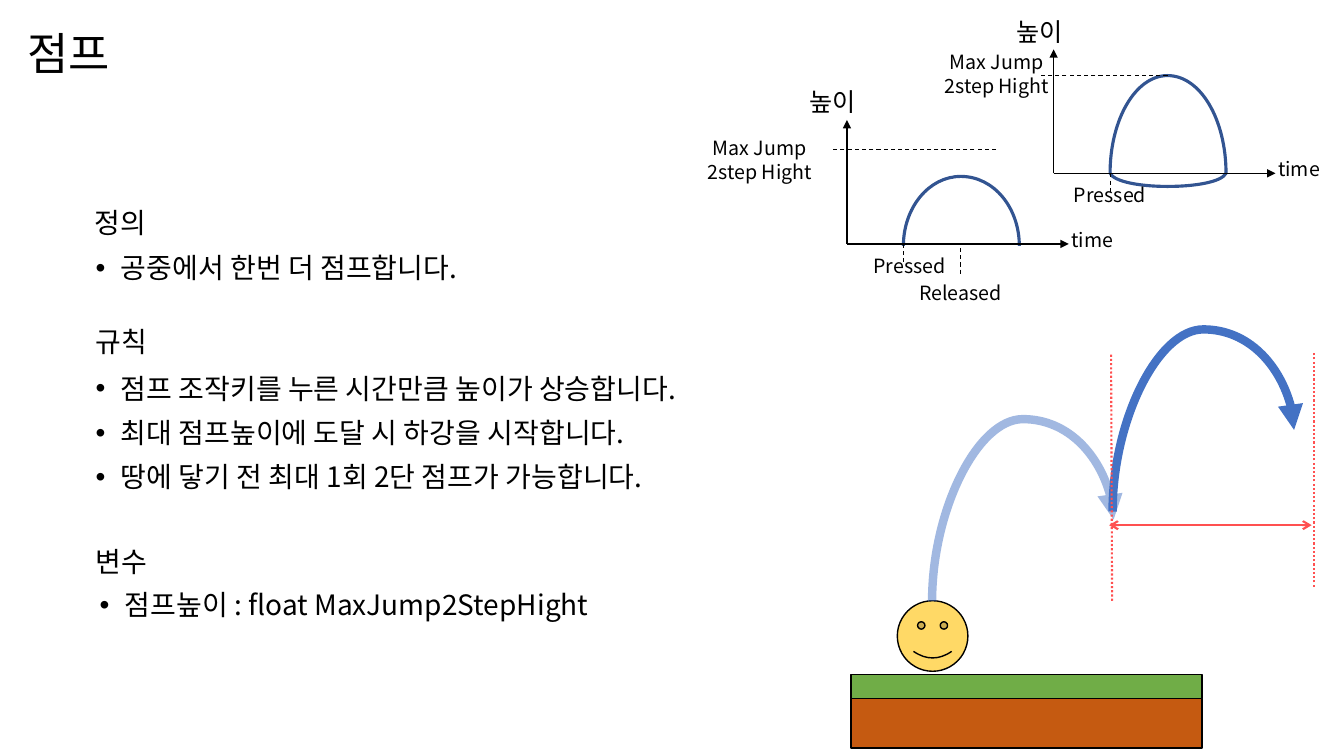
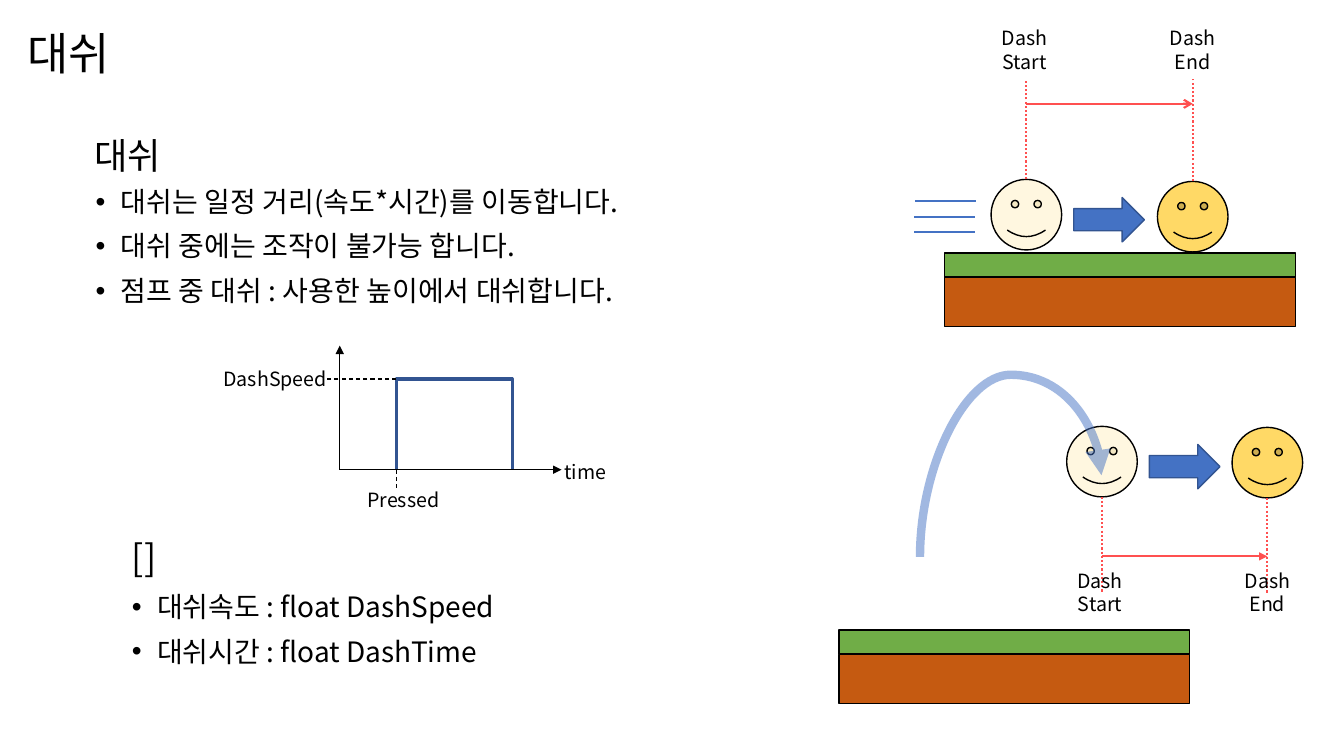
from dataclasses import dataclass, replace
from typing import Optional

from lxml import etree
from pptx import Presentation
from pptx import util as u
from pptx.dml.color import RGBColor
from pptx.enum import dml, shapes, text
from pptx.oxml.ns import qn

PX = 9144  # EMU per px, 100 px to the inch
FONT = "Noto Sans CJK KR"
COLORS = {
    "ink": "000000", "grass": "70AD47", "soil": "C55A11", "face": "FFD966",
    "move": "4472C4", "trace": "325491", "guide": "FF5050",
}
Point = tuple[int, int]


# Styles and repeated elements
@dataclass(frozen=True)
class TextStyle:
    size: float
    spacing: float = 1.0
    before: int = 0
    bullet: bool = False
    centered: bool = False
    middle: bool = False


@dataclass(frozen=True)
class LineStyle:
    color: str
    width: float
    dash: Optional[dml.MSO_LINE] = None
    head: str = ""
    tail: str = ""
    alpha: int = 100


@dataclass(frozen=True)
class Block:
    left: int
    top: int
    width: int
    height: int
    lines: tuple[str, ...]
    style: TextStyle


@dataclass(frozen=True)
class Plot:
    origin: Point
    ceiling: tuple[int, int, int]  # left, right and height from the origin
    pressed: Point  # label centre and top from the origin
    time_rise: int


@dataclass(frozen=True)
class Hump:
    base: int
    height: int
    sag: int


@dataclass(frozen=True)
class Dash:
    start: Point
    finish: Point
    label_top: int
    guide_end: int
    measure_y: int
    measure: LineStyle


TITLE = TextStyle(32, 0.9, middle=True)
HEADING = TextStyle(20, 0.9, 10)
BIG_HEADING = TextStyle(25.9, 0.7, 10)
BULLETS = TextStyle(20, 0.9, 10, bullet=True)
AXIS_NAME = TextStyle(18)
LABEL = TextStyle(14, centered=True)

OUTLINE = LineStyle("ink", 1)
AXIS = LineStyle("ink", 1, tail="triangle")
DASHED = LineStyle("ink", 0.75, dml.MSO_LINE.DASH)
TRACE = LineStyle("trace", 2.25)
SPEED = LineStyle("move", 1.5)
JUMP = LineStyle("move", 6, tail="triangle")
FADED_JUMP = replace(JUMP, alpha=50)
GUIDE = LineStyle("guide", 1.5, dml.MSO_LINE.ROUND_DOT)
MEASURE = LineStyle("guide", 1.5, tail="arrow")

FACE_SIZE = 70
GROUND_WIDTH = 348
TRACE_WIDTH = 115


# Basic drawing
def rgb(name: str) -> RGBColor:
    return RGBColor.from_string(COLORS[name])


def set_alpha(parent, percent: int) -> None:
    if percent < 100:
        color = parent.find(qn("a:solidFill")).find(qn("a:srgbClr"))
        etree.SubElement(color, qn("a:alpha"), val=str(percent * 1000))


def style_line(shape, style: LineStyle) -> None:
    shape.line.color.rgb = rgb(style.color)
    shape.line.width = u.Pt(style.width)
    if style.dash:
        shape.line.dash_style = style.dash
    outline = shape.get_or_add_ln()
    set_alpha(outline, style.alpha)
    for tag, kind in (("a:headEnd", style.head), ("a:tailEnd", style.tail)):
        if kind:
            etree.SubElement(outline, qn(tag), type=kind)


def add_line(page, start: Point, end: Point, style: LineStyle,
             kind=shapes.MSO_CONNECTOR.STRAIGHT):
    ends = [value * PX for value in (*start, *end)]
    line = page.shapes.add_connector(kind, *ends)
    style_line(line, style)
    etree.SubElement(line.element.spPr, qn("a:effectLst"))
    return line


def add_shape(page, kind, left: int, top: int, width: int, height: int,
              fill: str, line: LineStyle = OUTLINE, alpha: int = 100):
    shape = page.shapes.add_shape(kind, left * PX, top * PX, width * PX, height * PX)
    shape.shadow.inherit = False
    shape.fill.solid()
    shape.fill.fore_color.rgb = rgb(fill)
    set_alpha(shape.element.spPr, alpha)
    style_line(shape, line)
    return shape


def add_trace(page, points: list[Point], close: bool = False):
    (x, y), *others = [(px * PX, py * PX) for px, py in points]
    builder = page.shapes.build_freeform(x, y, scale=1.0)
    builder.add_line_segments(others, close=close)
    trace = builder.convert_to_shape()
    trace.shadow.inherit = False
    trace.fill.background()
    style_line(trace, TRACE)
    return trace


def add_text(page, block: Block) -> None:
    style = block.style
    box = page.shapes.add_textbox(block.left * PX, block.top * PX,
                                  block.width * PX, block.height * PX)
    frame = box.text_frame
    frame.word_wrap = True
    if style.middle:
        frame.vertical_anchor = text.MSO_ANCHOR.MIDDLE
    if style.bullet:
        frame.auto_size = text.MSO_AUTO_SIZE.TEXT_TO_FIT_SHAPE
    for index, words in enumerate(block.lines):
        para = frame.add_paragraph() if index else frame.paragraphs[0]
        para.text = words
        para.line_spacing = style.spacing
        para.space_before = u.Pt(style.before)
        para.alignment = text.PP_ALIGN.CENTER if style.centered else text.PP_ALIGN.LEFT
        properties = para._p.get_or_add_pPr()
        if style.bullet:
            properties.set("marL", str(25 * PX))
            properties.set("indent", str(-25 * PX))
            etree.SubElement(properties, qn("a:buFont"), typeface="Arial")
            etree.SubElement(properties, qn("a:buChar"), char="•")
        para.font.size = u.Pt(style.size)
        para.font.color.rgb = rgb("ink")
        para.font.name = FONT
        etree.SubElement(properties.find(qn("a:defRPr")), qn("a:ea"), typeface=FONT)


def add_label(page, left: int, top: int, width: int, *lines: str) -> None:
    add_text(page, Block(left, top, width, 10 + 24 * len(lines), lines, LABEL))


# Scene parts
def add_ground(page, left: int, top: int) -> None:
    for color, offset, height in (("grass", 0, 24), ("soil", 24, 49)):
        add_shape(page, shapes.MSO_SHAPE.RECTANGLE, left, top + offset,
                  GROUND_WIDTH, height, color)


def add_face(page, left: int, top: int, alpha: int = 100):
    return add_shape(page, shapes.MSO_SHAPE.SMILEY_FACE, left, top,
                     FACE_SIZE, FACE_SIZE, "face", alpha=alpha)


def add_jump(page, x: int, y: int, style: LineStyle) -> None:
    """Curved arrow that rises from (x, y) and lands 180 px to the right."""
    left, top = x + 49, y - 130
    arc = add_line(page, (left, top), (left + 81, top + 180), style,
                   shapes.MSO_CONNECTOR.CURVE)
    frame = arc.element.spPr.find(qn("a:xfrm"))
    for name, value in (("rot", "5400000"), ("flipH", "1"), ("flipV", "1")):
        frame.set(name, value)
    geometry = arc.element.spPr.find(qn("a:prstGeom"))
    adjusts = geometry.find(qn("a:avLst"))
    if adjusts is None:
        adjusts = etree.SubElement(geometry, qn("a:avLst"))
    etree.SubElement(adjusts, qn("a:gd"), name="adj1", fmla="val 223100")


def add_hump(page, left: int, hump: Hump) -> None:
    """Arch above the axis; with a sag it closes in a shallow bowl below."""
    width, height, sag = TRACE_WIDTH, hump.height, hump.sag
    base, middle = hump.base, left + width // 2
    corners = [(left, base), (middle, base - height), (left + width, base)]
    if sag:
        corners += [(middle, base + sag), (left, base)]
    trace = add_trace(page, corners, close=bool(sag))
    # Control points from the top left corner, one pair per segment
    low, bowl = height + 0.67 * sag, height + sag
    controls = (
        ((0, 0.45 * height), (0.22 * width, 0)),
        ((0.78 * width, 0), (width, 0.45 * height)),
        ((0.96 * width, low), (0.73 * width, bowl)),
        ((0.27 * width, bowl), (0.04 * width, low)),
    )
    segments = list(trace.element.spPr.iter(qn("a:lnTo")))
    for segment, pair in zip(segments, controls):
        segment.tag = qn("a:cubicBezTo")
        for index, (x, y) in enumerate(pair):
            control = etree.Element(qn("a:pt"), x=str(round(x * PX)), y=str(round(y * PX)))
            segment.insert(index, control)


def add_plot(page, plot: Plot) -> None:
    x, y = plot.origin
    left, right, level = plot.ceiling
    add_line(page, (x + right, y - level), (x + left, y - level), DASHED)
    add_line(page, (x, y), (x + 220, y), AXIS)
    add_line(page, (x, y), (x, y - 123), AXIS)
    add_line(page, (x + 56, y), (x + 56, y + 19), DASHED)
    center, drop = plot.pressed
    add_label(page, x + center - 56, y + drop, 112, "Pressed")
    add_label(page, x + 176, y - plot.time_rise, 135, "time")


def add_dash(page, dash: Dash) -> None:
    half = FACE_SIZE // 2
    ends = ((dash.start, 20, "Start", -13), (dash.finish, 100, "End", -11))
    for (x, y), alpha, name, shift in ends:
        face = add_face(page, x, y, alpha)
        above = dash.guide_end < y
        edge = y if above else y + FACE_SIZE
        guide = add_line(page, (x + half, edge), (x + half, dash.guide_end), GUIDE)
        if above:
            guide.begin_connect(face, 0)
        add_label(page, x + shift, dash.label_top, 92, "Dash", name)
    x, y = dash.start
    add_shape(page, shapes.MSO_SHAPE.RIGHT_ARROW, x + 82, y + 18, 70, 44, "move",
              LineStyle("trace", 1))
    add_line(page, (x + half, dash.measure_y), (dash.finish[0] + half, dash.measure_y),
             dash.measure)


# Slides
def new_page(deck, blocks: list[Block]):
    page = deck.slides.add_slide(deck.slide_layouts[6])
    for block in blocks:
        add_text(page, block)
    return page


def build_jump(deck) -> None:
    page = new_page(deck, [
        Block(17, 15, 719, 81, ("점프",), TITLE),
        Block(84, 203, 203, 43, ("정의",), HEADING),
        Block(85, 247, 750, 57, ("공중에서 한번 더 점프합니다.",), BULLETS),
        Block(85, 321, 203, 43, ("규칙",), HEADING),
        Block(85, 367, 750, 143, (
            "점프 조작키를 누른 시간만큼 높이가 상승합니다.",
            "최대 점프높이에 도달 시 하강을 시작합니다.",
            "땅에 닿기 전 최대 1회 2단 점프가 가능합니다."), BULLETS),
        Block(85, 539, 203, 43, ("변수",), HEADING),
        Block(89, 582, 750, 143, ("점프높이 : float MaxJump2StepHight",), BULLETS),
    ])
    plots = (
        (Plot((1045, 172), (-13, 113, 97), (56, 5), 21), Hump(172, 97, 13), (902, 45)),
        (Plot((840, 242), (-15, 148, 94), (62, 5), 21), Hump(244, 69, 0), (667, 130)),
    )
    for plot, hump, ceiling_label in plots:
        x, y = plot.origin
        add_hump(page, x + 56, hump)
        add_plot(page, plot)
        add_text(page, Block(x - 47, y - 161, 127, 40, ("높이",), AXIS_NAME))
        add_label(page, *ceiling_label, 173, "Max Jump", "2step Hight")
    add_line(page, (953, 246), (953, 274), DASHED)
    add_label(page, 885, 274, 135, "Released")

    add_ground(page, 844, 669)
    add_face(page, 890, 596)
    add_jump(page, 925, 596, FADED_JUMP)
    add_jump(page, 1104, 507, JUMP)
    add_line(page, (1103, 596), (1102, 350), GUIDE)
    add_line(page, (1303, 582), (1303, 350), GUIDE)
    add_line(page, (1301, 521), (1100, 521), replace(MEASURE, head="arrow"))


def build_dash(deck) -> None:
    page = new_page(deck, [
        Block(17, 15, 512, 81, ("대쉬",), TITLE),
        Block(84, 139, 203, 43, ("대쉬",), BIG_HEADING),
        Block(85, 182, 750, 143, (
            "대쉬는 일정 거리(속도*시간)를 이동합니다.",
            "대쉬 중에는 조작이 불가능 합니다.",
            "점프 중 대쉬 : 사용한 높이에서 대쉬합니다."), BULLETS),
        Block(121, 538, 203, 43, ("[]",), BIG_HEADING),
        Block(121, 584, 750, 143, (
            "대쉬속도 : float DashSpeed", "대쉬시간 : float DashTime"), BULLETS),
    ])
    add_trace(page, [(393, 466), (393, 376), (508, 376), (508, 466)])
    add_plot(page, Plot((337, 466), (-15, 56, 90), (63, 13), 15))
    add_label(page, 193, 359, 160, "DashSpeed")

    # Dash on the ground
    add_ground(page, 937, 251)
    for y, right in ((199, 968), (215, 967), (230, 967)):
        add_line(page, (right, y), (right - 60, y), SPEED)
    add_dash(page, Dash((983, 178), (1148, 180), 21, 78, 103, MEASURE))

    # Dash in the air
    add_ground(page, 832, 625)
    add_dash(page, Dash((1058, 423), (1222, 424), 559, 588, 552,
                        replace(MEASURE, tail="triangle")))
    add_jump(page, 913, 552, FADED_JUMP)


def main() -> None:
    deck = Presentation()
    deck.slide_width, deck.slide_height = u.Inches(13.33), u.Inches(7.5)
    build_jump(deck)
    build_dash(deck)
    deck.save("out.pptx")


if __name__ == "__main__":
    main()
